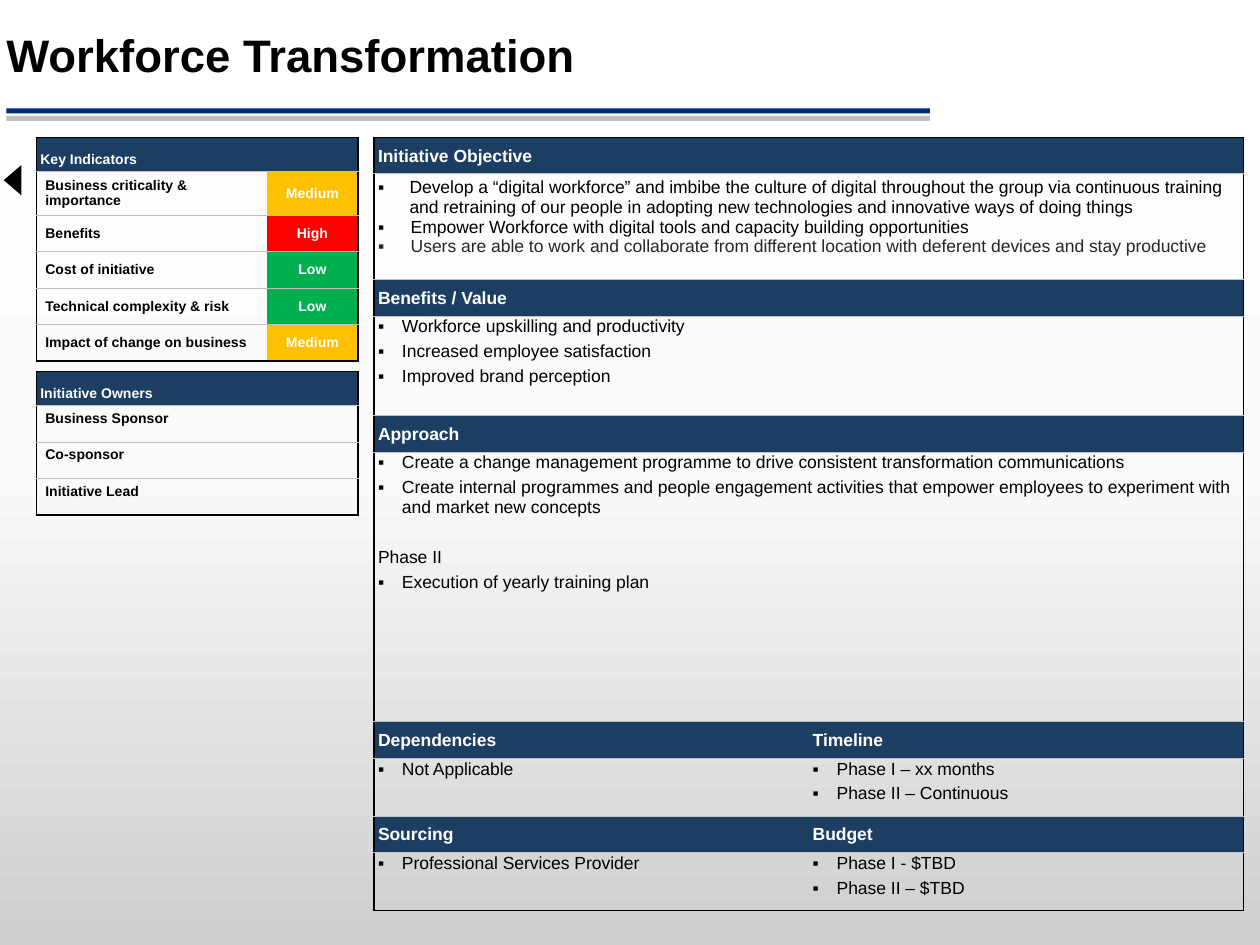
from copy import deepcopy
from dataclasses import dataclass

from lxml.etree import SubElement
from pptx import Presentation
from pptx.dml.color import RGBColor
from pptx.enum.shapes import MSO_SHAPE
from pptx.enum.text import MSO_ANCHOR, PP_ALIGN
from pptx.oxml.ns import qn
from pptx.util import Inches, Pt

BLACK = RGBColor(0x00, 0x00, 0x00)
WHITE = RGBColor(0xFF, 0xFF, 0xFF)
CHARCOAL = RGBColor(0x26, 0x26, 0x26)
HAIRLINE = RGBColor(0xC0, 0xC0, 0xC0)
NAVY = RGBColor(0x1C, 0x3E, 0x62)
RULE_BLUE = RGBColor(0x00, 0x29, 0x7A)
RULE_GRAY = RGBColor(0xBF, 0xBF, 0xBF)
RATING_COLORS = {
    "High": RGBColor(0xFF, 0x00, 0x00),
    "Medium": RGBColor(0xFF, 0xC0, 0x00),
    "Low": RGBColor(0x00, 0xB0, 0x50),
}
BACKDROP = [
    (0, RGBColor(0xCF, 0xCF, 0xCF)),
    (0.5, RGBColor(0xFA, 0xFA, 0xFA)),
    (1, WHITE),
]
PLAIN_TABLE = "{2D5ABB26-0587-4C30-8999-92F81FD0307C}"
FONT = "Arial"


@dataclass
class Line:
    text: str
    indent: float = 0.19
    after: float = 3
    before: float = 0
    color: RGBColor = BLACK
    bold: bool = False
    align: PP_ALIGN = PP_ALIGN.LEFT


@dataclass
class Block:
    lines: list[Line]
    margins: tuple[float, float, float, float] = (0.03, 0.01, 0.01, 0)
    anchor: MSO_ANCHOR = MSO_ANCHOR.TOP
    fill: RGBColor | None = None


def heading(text: str, anchor: MSO_ANCHOR = MSO_ANCHOR.MIDDLE) -> Block:
    margins = (0.03, 0.03, 0.03, 0.03) if anchor == MSO_ANCHOR.BOTTOM else (0.03, 0.01, 0.01, 0)
    return Block([Line(text, 0, 0, color=WHITE, bold=True)], margins, anchor, NAVY)


def bullets(*texts: str) -> Block:
    return Block([Line(text) for text in texts])


def label(text: str, anchor: MSO_ANCHOR) -> Block:
    return Block([Line(text, 0, 0, bold=True)], (0.07, 0.04, 0.07, 0.04), anchor)


def rating(level: str) -> Block:
    line = Line(level, 0, 0, color=WHITE, bold=True, align=PP_ALIGN.CENTER)
    return Block([line], (0.07, 0.04, 0.07, 0.04), MSO_ANCHOR.MIDDLE, RATING_COLORS[level])


def write_line(para, line: Line, size: float) -> None:
    para.text = line.text
    para.alignment = line.align
    para.space_before, para.space_after = Pt(line.before), Pt(line.after)
    if line.indent:
        properties = para._p.get_or_add_pPr()
        properties.set("marL", str(Inches(line.indent)))
        properties.set("indent", str(-Inches(line.indent)))
        SubElement(properties, qn("a:buFont"), typeface=FONT)
        SubElement(properties, qn("a:buChar"), char="▪")
    font = para.font
    font.name, font.size, font.bold = FONT, Pt(size), line.bold
    font.color.rgb = line.color
    if not line.text:
        SubElement(para._p, qn("a:endParaRPr"), sz=str(int(size * 100)))


def add_border(cell, side: str, color: RGBColor, width: float) -> None:
    border = SubElement(cell._tc.get_or_add_tcPr(), qn(f"a:{side}"), w=str(Pt(width)))
    solid = SubElement(border, qn("a:solidFill"))
    SubElement(solid, qn("a:srgbClr"), val=str(color))


def fill_cell(cell, block: Block, size: float) -> None:
    cell.margin_left, cell.margin_top, cell.margin_right, cell.margin_bottom = map(Inches, block.margins)
    cell.vertical_anchor = block.anchor
    if block.fill is None:
        cell.fill.background()
    else:
        cell.fill.solid()
        cell.fill.fore_color.rgb = block.fill
    frame = cell.text_frame
    for index, line in enumerate(block.lines):
        para = frame.add_paragraph() if index else frame.paragraphs[0]
        write_line(para, line, size)


def add_panel(page, left: float, top: float, widths: list[float], heights: list[float],
              rows: list[list[Block]], size: float) -> None:
    table = page.shapes.add_table(
        len(rows), len(widths), Inches(left), Inches(top),
        Inches(sum(widths)), Inches(sum(heights))).table
    table._tbl.tblPr.find(qn("a:tableStyleId")).text = PLAIN_TABLE
    table.first_row = table.horz_banding = False
    for column, width in zip(table.columns, widths):
        column.width = Inches(width)
    for number, (height, blocks) in enumerate(zip(heights, rows)):
        table.rows[number].height = Inches(height)
        cells = [table.cell(number, position) for position in range(len(widths))]
        full_width = len(blocks) == 1
        if full_width:
            cells[0].merge(cells[-1])
        for position, cell in enumerate(cells):
            if position == 0:
                add_border(cell, "lnL", BLACK, 1)
            if full_width or position == len(cells) - 1:
                add_border(cell, "lnR", BLACK, 1)
            for side, outer in (("lnT", 0), ("lnB", len(rows) - 1)):
                edge = (BLACK, 1) if number == outer else (HAIRLINE, 0.5)
                add_border(cell, side, *edge)
        for cell, block in zip(cells, blocks):
            fill_cell(cell, block, size)


def add_solid(page, kind: MSO_SHAPE, left: float, top: float, width: float, height: float,
              color: RGBColor, rotation: float = 0) -> None:
    shape = page.shapes.add_shape(kind, Inches(left), Inches(top), Inches(width), Inches(height))
    shape.shadow.inherit = False
    shape.fill.solid()
    shape.fill.fore_color.rgb = color
    shape.line.fill.background()
    shape.rotation = rotation


def paint_background(page) -> None:
    fill = page.background.fill
    fill.gradient()
    fill.gradient_angle = 90
    first = fill.gradient_stops[0]._gs
    first.addnext(deepcopy(first))
    for stop, (position, color) in zip(fill.gradient_stops, BACKDROP):
        stop.position = position
        stop.color.rgb = color


def add_title(page, text: str) -> None:
    box = page.shapes.add_textbox(Inches(0), Inches(0.21), Inches(7.77), Inches(0.49))
    frame = box.text_frame
    frame.word_wrap = True
    frame.vertical_anchor = MSO_ANCHOR.MIDDLE
    frame.margin_left = frame.margin_right = frame.margin_top = frame.margin_bottom = Inches(0.05)
    write_line(frame.paragraphs[0], Line(text, 0, 0, bold=True), 26)
    frame.paragraphs[0].line_spacing = 0.9


INDICATORS = [
    ("Business criticality & importance", "Medium"),
    ("Benefits", "High"),
    ("Cost of initiative", "Low"),
    ("Technical complexity & risk", "Low"),
    ("Impact of change on business", "Medium"),
]
OWNERS = ["Business Sponsor", "Co-sponsor", "Initiative Lead"]
OBJECTIVE = Block([
    Line("Develop a “digital workforce” and imbibe the culture of digital throughout the group via continuous "
         "training and retraining of our people in adopting new technologies and innovative ways of doing things",
         0.25, 0),
    Line("Empower Workforce with digital tools and capacity building opportunities", 0.26, 0),
    Line("Users are able to work and collaborate from different location with deferent devices and stay productive",
         0.26, 0, color=CHARCOAL),
], (0.03, 0.01, 0.01, 0.16), MSO_ANCHOR.MIDDLE)
APPROACH = Block([
    Line("Create a change management programme to drive consistent transformation communications"),
    Line("Create internal programmes and people engagement activities that empower employees "
         "to experiment with and market new concepts"),
    Line("Phase II", 0, before=14.5),
    Line("Execution of yearly training plan"),
])
DETAILS = [
    [heading("Initiative Objective")],
    [OBJECTIVE],
    [heading("Benefits / Value")],
    [bullets("Workforce upskilling and productivity", "Increased employee satisfaction",
             "Improved brand perception")],
    [heading("Approach")],
    [APPROACH],
    [heading("Dependencies"), heading("Timeline")],
    [bullets("Not Applicable"), bullets("Phase I – xx months", "Phase II – Continuous")],
    [heading("Sourcing"), heading("Budget")],
    [bullets("Professional Services Provider"), bullets("Phase I - $TBD", "Phase II – $TBD")],
]


def main() -> None:
    deck = Presentation()
    deck.slide_width, deck.slide_height = Inches(10), Inches(7.5)
    page = deck.slides.add_slide(deck.slide_layouts[6])
    paint_background(page)
    add_solid(page, MSO_SHAPE.RECTANGLE, 0.05, 0.92, 7.33, 0.04, RULE_GRAY)
    add_solid(page, MSO_SHAPE.RECTANGLE, 0.05, 0.86, 7.33, 0.04, RULE_BLUE)
    add_title(page, "Workforce Transformation")
    indicator_rows = [[label(name, MSO_ANCHOR.MIDDLE), rating(level)] for name, level in INDICATORS]
    add_panel(page, 0.29, 1.09, [1.83, 0.72], [0.27, 0.34] + [0.29] * 4,
              [[heading("Key Indicators", MSO_ANCHOR.BOTTOM)]] + indicator_rows, 8)
    add_solid(page, MSO_SHAPE.ISOSCELES_TRIANGLE, -0.02, 1.36, 0.24, 0.14, BLACK, 270)
    owner_rows = [[label(name, MSO_ANCHOR.TOP), label("", MSO_ANCHOR.TOP)] for name in OWNERS]
    add_panel(page, 0.29, 2.95, [1.14, 1.41], [0.27] + [0.29] * 3,
              [[heading("Initiative Owners", MSO_ANCHOR.BOTTOM)]] + owner_rows, 8)
    add_panel(page, 2.97, 1.09, [3.45, 3.45],
              [0.29, 0.83, 0.29, 0.79, 0.29, 2.14, 0.29, 0.46, 0.29, 0.46], DETAILS, 10)
    deck.save("out.pptx")


if __name__ == "__main__":
    main()
